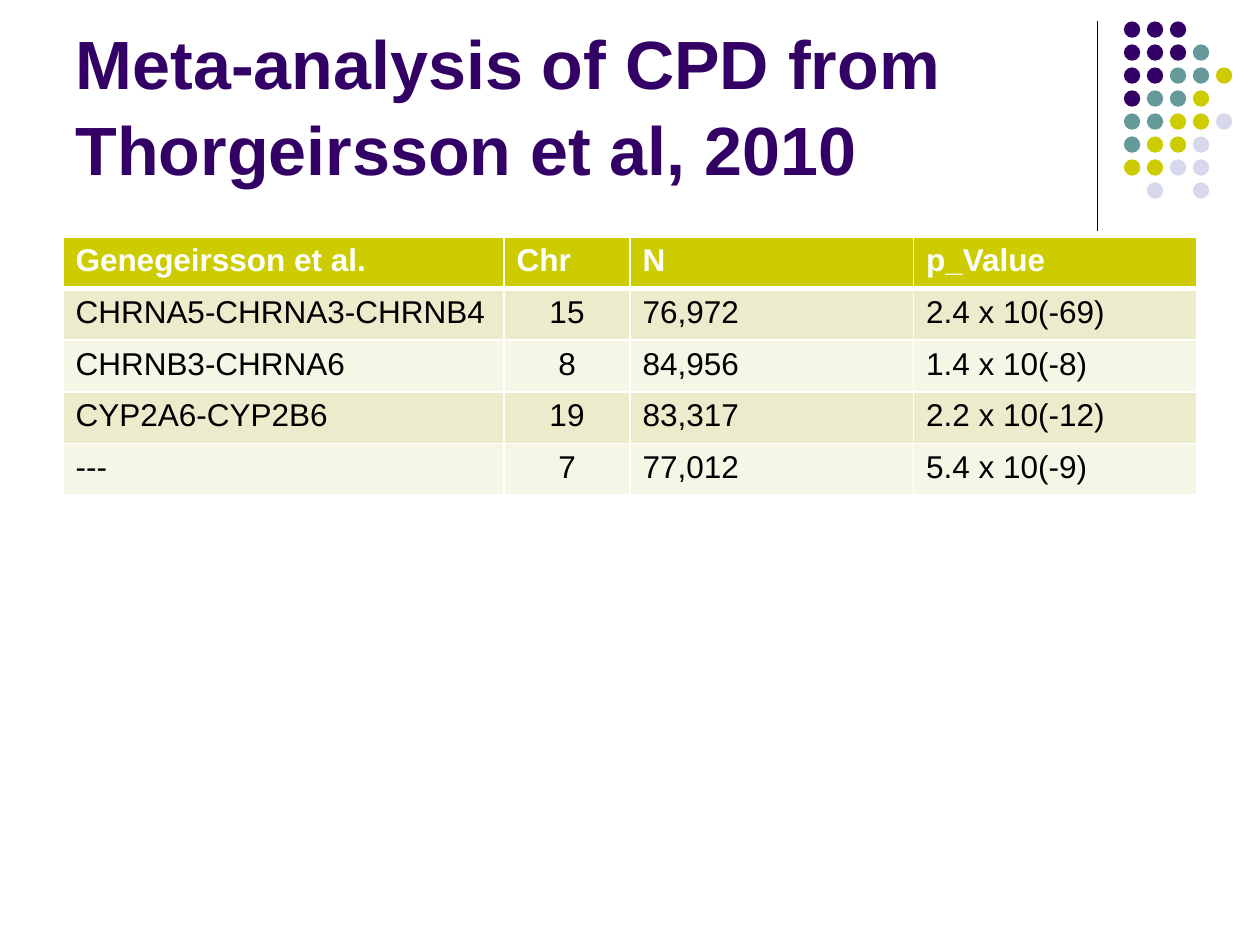
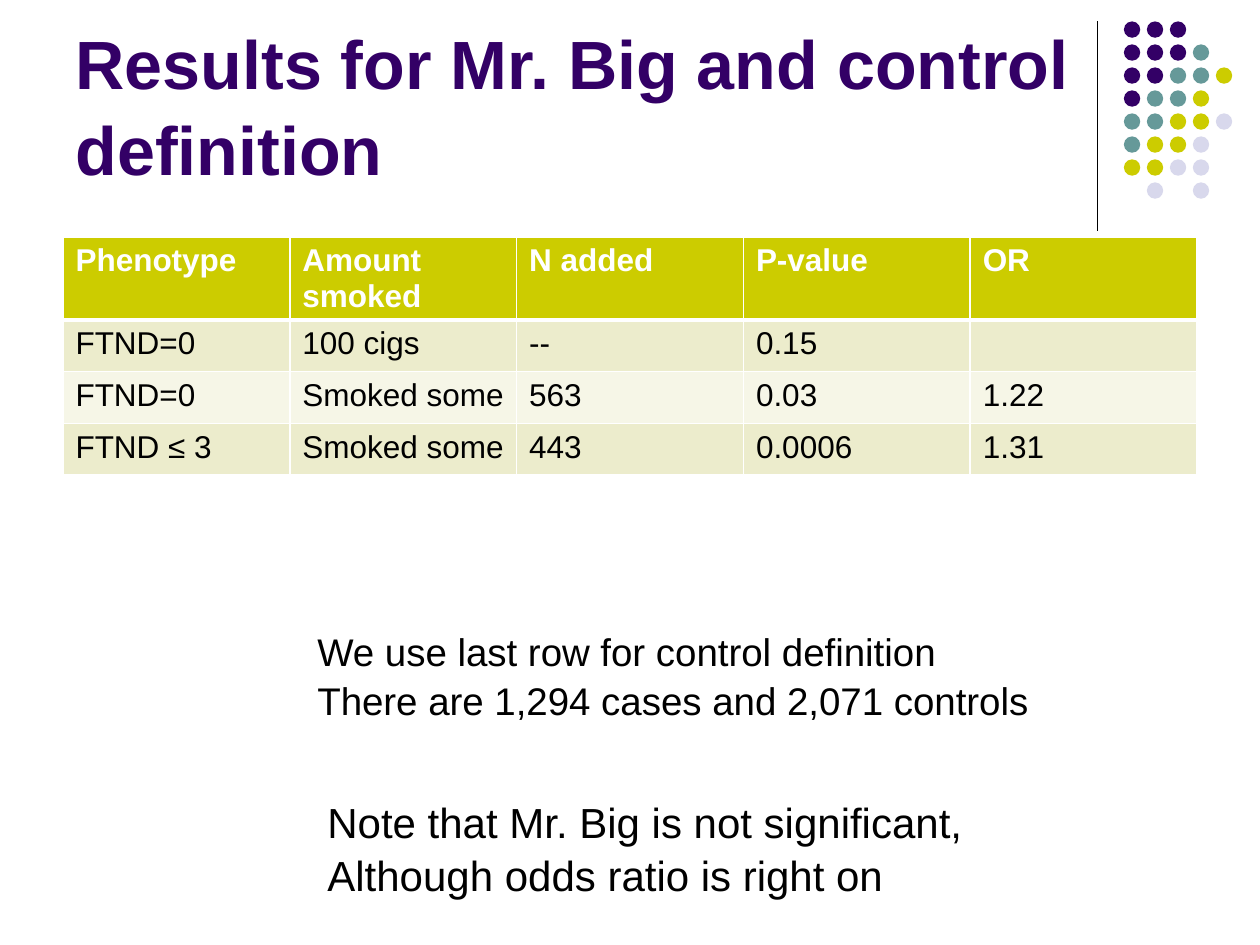
from dataclasses import dataclass

import lxml.etree
import pptx
import pptx.dml.color
import pptx.enum.shapes
import pptx.enum.text
import pptx.oxml.ns
import pptx.presentation
import pptx.slide
import pptx.table
import pptx.text.text
import pptx.util

Inches = pptx.util.Inches
RGBColor = pptx.dml.color.RGBColor
ALIGN = pptx.enum.text.PP_ALIGN

FONT = "Arial"
PURPLE = RGBColor(0x33, 0x00, 0x66)
TEAL = RGBColor(0x66, 0x99, 0x99)
OLIVE = RGBColor(0xCC, 0xCC, 0x00)
LAVENDER = RGBColor(0xD8, 0xD8, 0xEC)
DARK_BAND = RGBColor(0xEC, 0xEC, 0xCC)
LIGHT_BAND = RGBColor(0xF6, 0xF6, 0xE7)
BLACK = RGBColor(0x00, 0x00, 0x00)
WHITE = RGBColor(0xFF, 0xFF, 0xFF)

DOT_COLORS = {"P": PURPLE, "T": TEAL, "O": OLIVE, "L": LAVENDER}
DOT_ROWS = ["PPP", "PPPT", "PPTTO", "PTTO", "TTOOL", "TOOL", "OOLL", ".L.L"]
DOT_LEFT = Inches(8.92)
DOT_TOP = Inches(0.17)
DOT_SIZE = Inches(0.13)
DOT_PITCH = Inches(0.73) // 4

TABLE_LEFT = Inches(0.5)
TABLE_TOP = Inches(1.88)
ROW_HEIGHT = Inches(0.41)
LINE_SPACING = 1.05


@dataclass(frozen=True)
class Note:
    left: float
    top: float
    width: float
    height: float
    size: int
    lines: tuple[str, ...]


@dataclass(frozen=True)
class TableSlide:
    title: str
    column_widths: tuple[float, ...]
    header_height: float
    rows: tuple[tuple[str, ...], ...]
    centered_column: int | None = None
    notes: tuple[Note, ...] = ()


TABLE_SLIDES = (
    TableSlide(
        title="Meta-analysis of CPD from Thorgeirsson et al, 2010",
        column_widths=(3.5, 1, 2.25, 2.25),
        header_height=0.41,
        rows=(
            ("Genegeirsson et al.", "Chr", "N", "p_Value"),
            ("CHRNA5-CHRNA3-CHRNB4", "15", "76,972", "2.4 x 10(-69)"),
            ("CHRNB3-CHRNA6", "8", "84,956", "1.4 x 10(-8)"),
            ("CYP2A6-CYP2B6", "19", "83,317", "2.2 x 10(-12)"),
            ("---", "7", "77,012", "5.4 x 10(-9)"),
        ),
        centered_column=1,
    ),
    TableSlide(
        title="Results for Mr. Big and control definition",
        column_widths=(1.8,) * 5,
        header_height=0.65,
        rows=(
            ("Phenotype", "Amount smoked", "N added", "P-value", "OR"),
            ("FTND=0", "100 cigs", "--", "0.15", ""),
            ("FTND=0", "Smoked some", "563", "0.03", "1.22"),
            ("FTND ≤ 3", "Smoked some", "443", "0.0006", "1.31"),
        ),
        notes=(
            Note(2.42, 4.92, 5.92, 0.84, 22, (
                "We use last row for control definition",
                "There are 1,294 cases and 2,071 controls",
            )),
            Note(2.5, 6.25, 5.29, 0.91, 24, (
                "Note that Mr. Big is not significant,",
                "Although odds ratio is right on",
            )),
        ),
    ),
)


def add_run(paragraph: pptx.text.text._Paragraph, text: str, size: int,
            color: RGBColor, bold: bool = False) -> None:
    run = paragraph.add_run()
    run.text = text
    run.font.name = FONT
    run.font.size = pptx.util.Pt(size)
    run.font.bold = bold
    run.font.color.rgb = color


def add_corner_decoration(slide: pptx.slide.Slide) -> None:
    rule = slide.shapes.add_connector(
        pptx.enum.shapes.MSO_CONNECTOR.STRAIGHT,
        Inches(8.71), Inches(0.17), Inches(8.71), Inches(1.83))
    rule.line.color.rgb = BLACK
    rule.line.width = pptx.util.Pt(0.75)
    lxml.etree.SubElement(rule._element.spPr, pptx.oxml.ns.qn("a:effectLst"))

    dots = slide.shapes.add_group_shape()
    for row, pattern in enumerate(DOT_ROWS):
        for column, key in enumerate(pattern):
            if key not in DOT_COLORS:
                continue
            dot = dots.shapes.add_shape(
                pptx.enum.shapes.MSO_SHAPE.OVAL,
                DOT_LEFT + column * DOT_PITCH, DOT_TOP + row * DOT_PITCH,
                DOT_SIZE, DOT_SIZE)
            dot.shadow.inherit = False
            dot.fill.solid()
            dot.fill.fore_color.rgb = DOT_COLORS[key]
            dot.line.fill.background()


def format_title(slide: pptx.slide.Slide, text: str) -> None:
    title = slide.shapes.title
    title.left, title.top = Inches(0.5), Inches(0.13)
    title.width, title.height = Inches(8.25), Inches(1.42)
    frame = title.text_frame
    frame.word_wrap = True
    frame.auto_size = pptx.enum.text.MSO_AUTO_SIZE.NONE
    frame.vertical_anchor = pptx.enum.text.MSO_ANCHOR.BOTTOM
    paragraph = frame.paragraphs[0]
    paragraph.alignment = ALIGN.LEFT
    paragraph.line_spacing = LINE_SPACING
    add_run(paragraph, text, 39, PURPLE, bold=True)


def set_borders(cell: pptx.table._Cell, top: int, bottom: int) -> None:
    qn = pptx.oxml.ns.qn
    properties = cell._tc.get_or_add_tcPr()
    for tag, points in (("a:lnL", 1), ("a:lnR", 1), ("a:lnT", top), ("a:lnB", bottom)):
        border = lxml.etree.SubElement(properties, qn(tag), w=str(pptx.util.Pt(points)))
        fill = lxml.etree.SubElement(border, qn("a:solidFill"))
        lxml.etree.SubElement(fill, qn("a:srgbClr"), val=str(WHITE))


def add_data_table(slide: pptx.slide.Slide, content: TableSlide) -> None:
    header_height = Inches(content.header_height)
    row_count = len(content.rows)
    table = slide.shapes.add_table(
        row_count, len(content.column_widths), TABLE_LEFT, TABLE_TOP,
        Inches(sum(content.column_widths)),
        header_height + (row_count - 1) * ROW_HEIGHT).table
    for column, width in zip(table.columns, content.column_widths):
        column.width = Inches(width)
    for row_index, values in enumerate(content.rows):
        is_header = row_index == 0
        table.rows[row_index].height = header_height if is_header else ROW_HEIGHT
        band = OLIVE if is_header else DARK_BAND if row_index % 2 else LIGHT_BAND
        for column_index, value in enumerate(values):
            cell = table.cell(row_index, column_index)
            set_borders(cell, 3 if row_index == 1 else 1, 3 if is_header else 1)
            cell.fill.solid()
            cell.fill.fore_color.rgb = band
            paragraph = cell.text_frame.paragraphs[0]
            if column_index == content.centered_column and not is_header:
                paragraph.alignment = ALIGN.CENTER
            if value:
                add_run(paragraph, value, 18, WHITE if is_header else BLACK, is_header)


def add_note(slide: pptx.slide.Slide, note: Note) -> None:
    frame = slide.shapes.add_textbox(
        Inches(note.left), Inches(note.top),
        Inches(note.width), Inches(note.height)).text_frame
    frame.word_wrap = False
    frame.auto_size = pptx.enum.text.MSO_AUTO_SIZE.SHAPE_TO_FIT_TEXT
    for index, line in enumerate(note.lines):
        paragraph = frame.add_paragraph() if index else frame.paragraphs[0]
        paragraph.line_spacing = LINE_SPACING
        add_run(paragraph, line, note.size, BLACK)


def add_table_slide(presentation: pptx.presentation.Presentation,
                    content: TableSlide) -> None:
    title_only = presentation.slide_layouts.get_by_name("Title Only")
    slide = presentation.slides.add_slide(title_only)
    add_corner_decoration(slide)
    format_title(slide, content.title)
    add_data_table(slide, content)
    for note in content.notes:
        add_note(slide, note)


def main() -> None:
    presentation = pptx.Presentation()
    presentation.slide_width = Inches(10)
    presentation.slide_height = Inches(7.5)
    for content in TABLE_SLIDES:
        add_table_slide(presentation, content)
    presentation.save("out.pptx")


if __name__ == "__main__":
    main()
